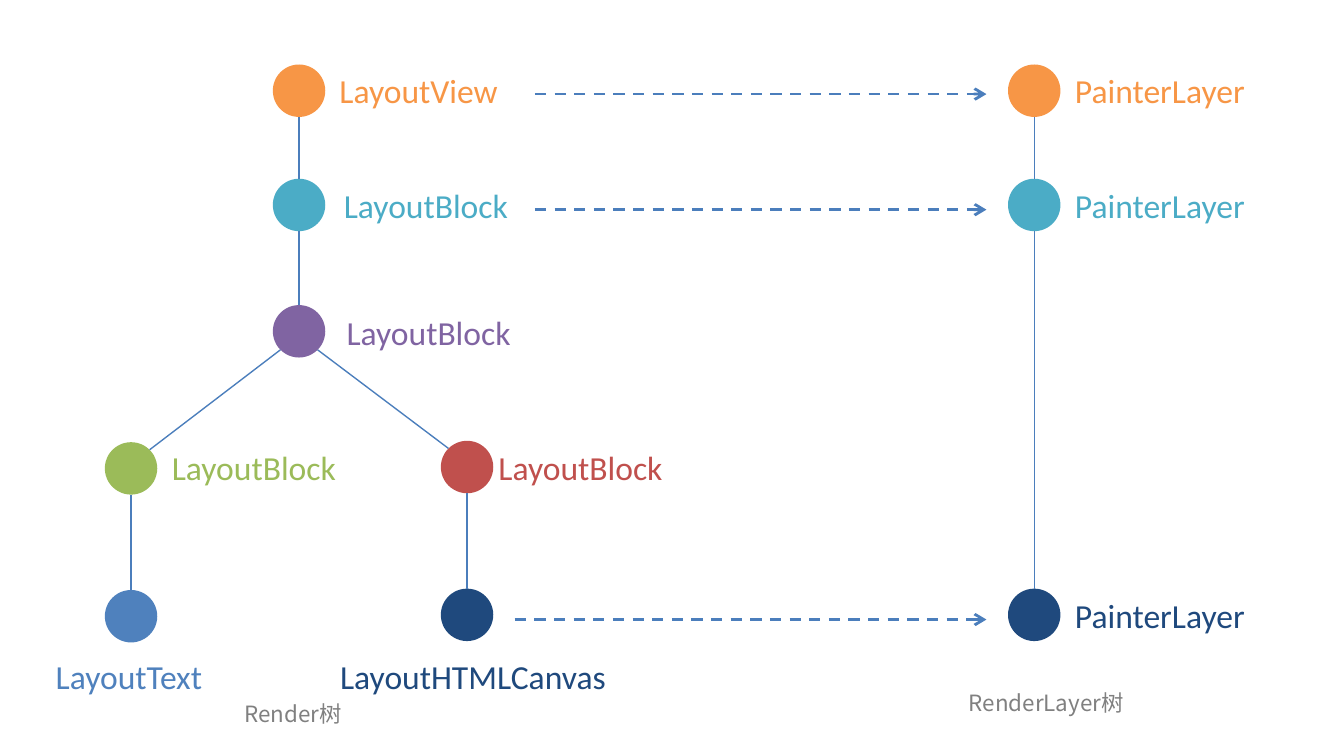
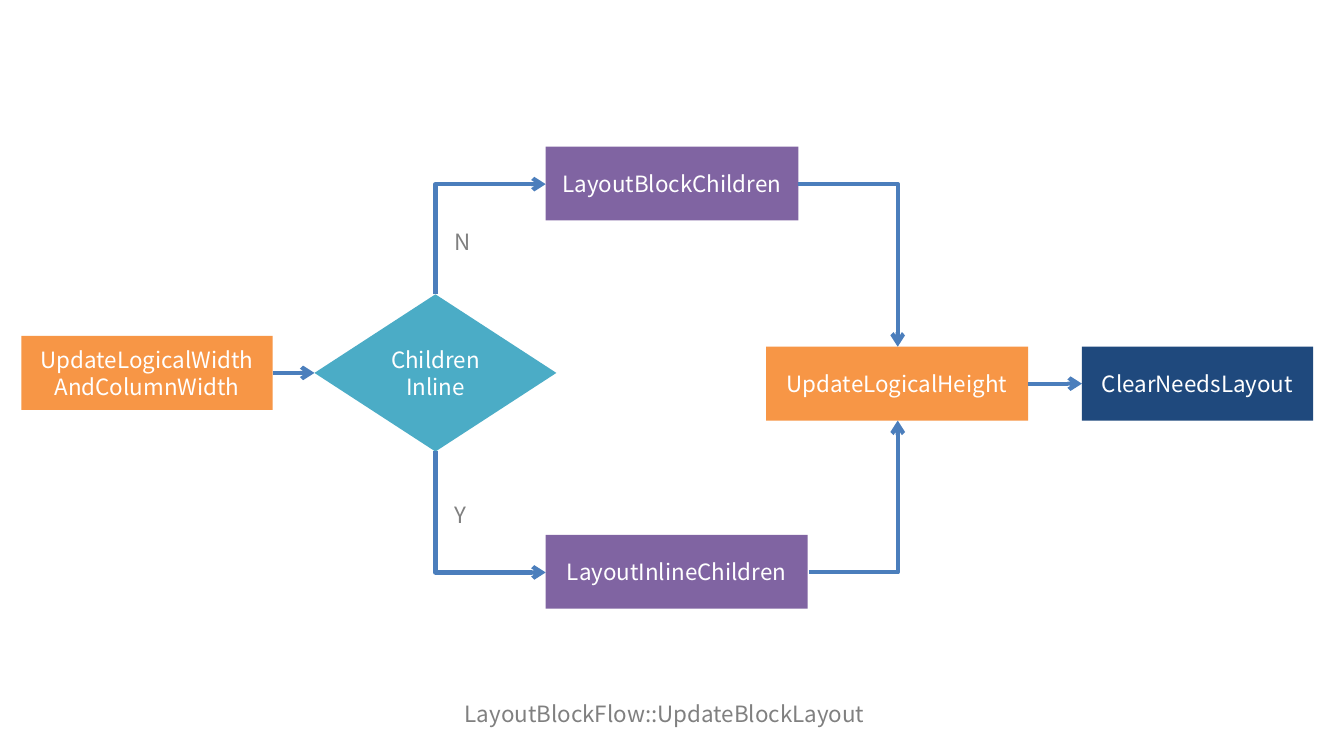
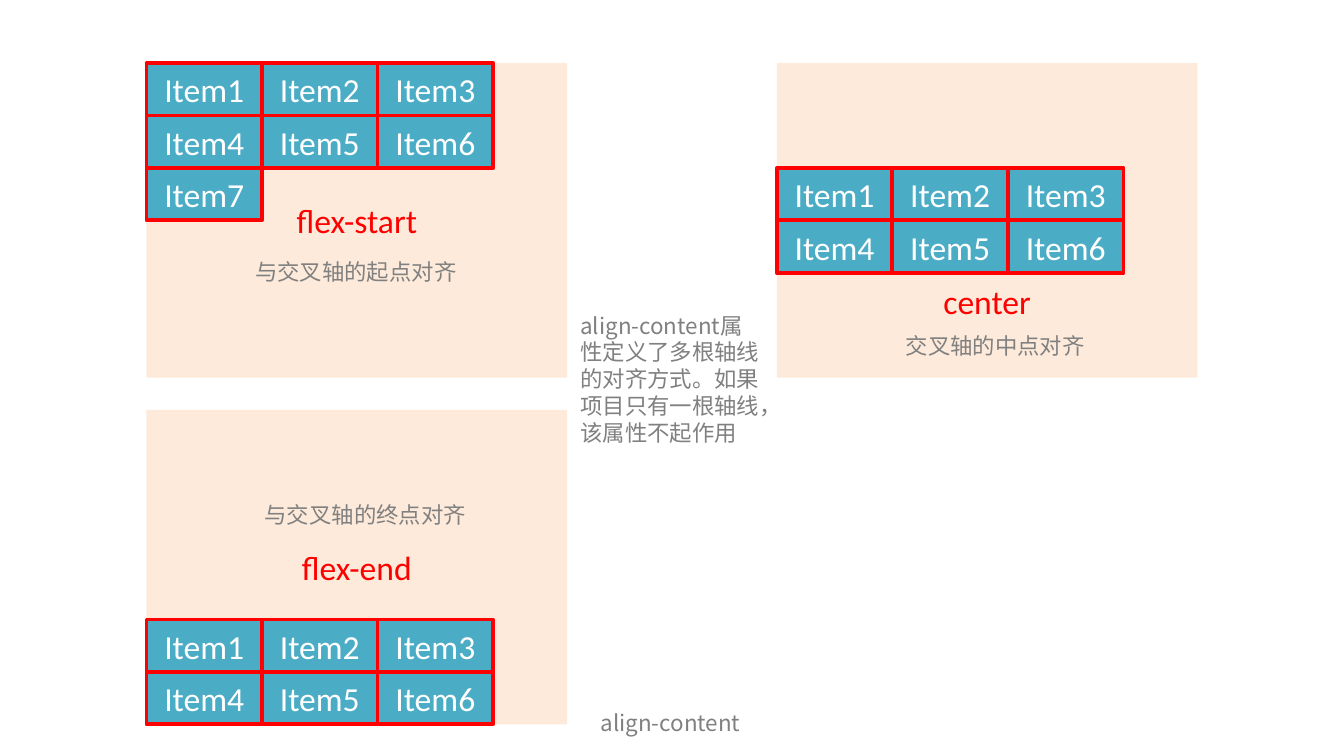
"""Build three slides on browser layout: render trees, block layout flow and align-content."""
from lxml.etree import SubElement
from pptx import Presentation
from pptx.dml.color import RGBColor
from pptx.enum.dml import MSO_LINE
from pptx.enum.shapes import MSO_CONNECTOR as LinkType, MSO_SHAPE as Preset
from pptx.enum.text import MSO_ANCHOR as Anchor, MSO_AUTO_SIZE as AutoSize, PP_ALIGN as Align
from pptx.oxml.ns import qn
from pptx.util import Inches, Pt

ORANGE = RGBColor(0xF7, 0x96, 0x46)
TEAL = RGBColor(0x4B, 0xAC, 0xC6)
PURPLE = RGBColor(0x80, 0x64, 0xA2)
GREEN = RGBColor(0x9B, 0xBB, 0x59)
BRICK = RGBColor(0xC0, 0x50, 0x4D)
BLUE = RGBColor(0x4F, 0x81, 0xBD)
NAVY = RGBColor(0x1F, 0x49, 0x7D)
LINK_BLUE = RGBColor(0x4B, 0x7E, 0xBC)
PEACH = RGBColor(0xFD, 0xEA, 0xDA)
RED = RGBColor(0xFF, 0x00, 0x00)
WHITE = RGBColor(0xFF, 0xFF, 0xFF)
GREY = RGBColor(0x80, 0x80, 0x80)

LABEL_FONT, NOTE_FONT = "Calibri", "Noto Sans CJK SC"
LABEL_SIZE, NOTE_SIZE = 18, 12
NODE = 0.39
ITEM_WIDTH, ITEM_HEIGHT = 0.86, 0.39
ITEM_COLUMNS = 3
STEP_HEIGHT = 0.55
PANEL_WIDTH, PANEL_HEIGHT = 3.13, 2.34


def write(frame, text, font=LABEL_FONT, size=LABEL_SIZE, color=WHITE, align=Align.CENTER):
    """Write one formatted paragraph in a text frame."""
    para = frame.paragraphs[0]
    para.alignment = align
    span = para.add_run()
    span.text = text
    span.font.name = font
    span.font.size = Pt(size)
    span.font.color.rgb = color
    SubElement(span.font._element, qn("a:ea"), typeface=font)


def add_text(page, text, left, top, width, height=0.3, wrap=False, **style):
    """Add a text box that grows with its text."""
    box = page.shapes.add_textbox(Inches(left), Inches(top), Inches(width), Inches(height))
    box.text_frame.word_wrap = wrap
    box.text_frame.auto_size = AutoSize.SHAPE_TO_FIT_TEXT
    write(box.text_frame, text, **style)


def add_note(page, text, left, top, width, height=0.3, wrap=True):
    """Add a small grey note."""
    add_text(page, text, left, top, width, height, wrap,
             font=NOTE_FONT, size=NOTE_SIZE, color=GREY, align=Align.LEFT)


def add_figure(page, preset, left, top, width, height, fill, text="", border=None, **style):
    """Add a filled preset shape with centred text and an optional border."""
    figure = page.shapes.add_shape(preset, Inches(left), Inches(top), Inches(width), Inches(height))
    figure.shadow.inherit = False
    figure.fill.solid()
    figure.fill.fore_color.rgb = fill
    if border is None:
        figure.line.fill.background()
    else:
        figure.line.color.rgb = border
        figure.line.width = Pt(2)
    figure.text_frame.word_wrap = True
    figure.text_frame.vertical_anchor = Anchor.MIDDLE
    if text:
        write(figure.text_frame, text, **style)
    return figure


def add_link(page, start, end, weight, kind=LinkType.STRAIGHT, arrow=False, dashed=False):
    """Add a connector from start to end."""
    link = page.shapes.add_connector(kind, *(Inches(length) for length in (*start, *end)))
    link.line.color.rgb = LINK_BLUE
    link.line.width = Pt(weight)
    if dashed:
        link.line.dash_style = MSO_LINE.DASH
    if arrow:
        SubElement(link.line._get_or_add_ln(), qn("a:tailEnd"), type="arrow")
    SubElement(link.element.spPr, qn("a:effectLst"))
    return link


def add_elbow(page, start, end, vertical_first=False):
    """Add an arrow with one right-angled bend."""
    if vertical_first:
        (x1, y1), (x2, y2) = start, end
        middle_x, middle_y = (x1 + x2) / 2, (y1 + y2) / 2
        half_x, half_y = (x2 - x1) / 2, (y2 - y1) / 2
        start = (middle_x + half_y, middle_y - half_x)
        end = (middle_x - half_y, middle_y + half_x)
    link = add_link(page, start, end, 2.25, LinkType.ELBOW, arrow=True)
    properties = link.element.spPr
    properties.find(qn("a:prstGeom")).set("prst", "bentConnector2")
    if vertical_first:
        properties.find(qn("a:xfrm")).set("rot", str(270 * 60000))


def join_steps(page, source, target):
    """Join the right side of one step to the left side of the next."""
    link = add_link(page, (0, 0), (1, 1), 2.25, arrow=True)
    link.begin_connect(source, 3)
    link.end_connect(target, 1)


def add_branch(page, parent, child):
    """Draw the tree line between two nodes, given by their top left corners."""
    radius = NODE / 2
    (x1, y1), (x2, y2) = ((left + radius, top + radius) for left, top in (parent, child))
    if x1 == x2:
        shift_x, shift_y = 0, radius
    else:
        shift_y = radius * 0.71
        shift_x = shift_y if x2 > x1 else -shift_y
    add_link(page, (x1 + shift_x, y1 + shift_y), (x2 - shift_x, y2 - shift_y), 0.75)


def add_step(page, text, left, top, width, fill, preset=Preset.RECTANGLE, height=STEP_HEIGHT):
    """Add one step of the flow chart."""
    return add_figure(page, preset, left, top, width, height, fill, text,
                      font=NOTE_FONT, size=NOTE_SIZE)


def add_items(page, left, top, count):
    """Add a wrapped grid of numbered items."""
    for index in range(count):
        row, column = divmod(index, ITEM_COLUMNS)
        add_figure(page, Preset.RECTANGLE, left + column * ITEM_WIDTH, top + row * ITEM_HEIGHT,
                   ITEM_WIDTH, ITEM_HEIGHT, TEAL, f"Item{index + 1}", border=RED)


def add_panel(page, text, left, top):
    """Add a flex container named in red."""
    return add_figure(page, Preset.RECTANGLE, left, top, PANEL_WIDTH, PANEL_HEIGHT, PEACH,
                      text, color=RED)


def build_trees(page):
    """Draw the render tree next to the layer tree."""
    for left, y in ((3.98, 0.7), (3.98, 1.56), (3.83, 4.61)):
        add_link(page, (left, y), (7.34, y), 1.5, arrow=True, dashed=True)
    view, block, inner = (2.03, 0.48), (2.03, 1.33), (2.03, 2.27)
    left_block, right_block = (0.78, 3.29), (3.28, 3.28)
    text_node, canvas = (0.78, 4.39), (3.28, 4.38)
    top_layer, middle_layer, canvas_layer = (7.5, 0.48), (7.5, 1.33), (7.5, 4.38)
    nodes = (
        (view, ORANGE, "LayoutView", 2.42, 0.47, 1.39),
        (block, TEAL, "LayoutBlock", 2.45, 1.33, 1.44),
        (inner, PURPLE, "LayoutBlock", 2.47, 2.27, 1.44),
        (left_block, GREEN, "LayoutBlock", 1.17, 3.28, 1.44),
        (right_block, BRICK, "LayoutBlock", 3.6, 3.28, 1.44),
        (text_node, BLUE, "LayoutText", 0.31, 4.83, 1.3),
        (canvas, NAVY, "LayoutHTMLCanvas", 2.42, 4.83, 2.2),
        (top_layer, ORANGE, "PainterLayer", 7.89, 0.47, 1.48),
        (middle_layer, TEAL, "PainterLayer", 7.89, 1.33, 1.48),
        (canvas_layer, NAVY, "PainterLayer", 7.89, 4.38, 1.48),
    )
    for corner, color, label, left, top, width in nodes:
        add_figure(page, Preset.OVAL, *corner, NODE, NODE, color)
        add_text(page, label, left, top, width, 0.4, color=color)
    branches = (
        (view, block), (block, inner), (inner, left_block), (inner, right_block),
        (left_block, text_node), (right_block, canvas),
        (top_layer, middle_layer), (middle_layer, canvas_layer),
    )
    for parent, child in branches:
        add_branch(page, parent, child)
    add_note(page, "Render树", 1.72, 5.16, 0.94)
    add_note(page, "RenderLayer树", 7.11, 5.08, 1.41)


def build_flow(page):
    """Draw the block layout flow chart."""
    update_width = add_step(page, "UpdateLogicalWidthAndColumnWidth", 0.16, 2.5, 1.87, ORANGE)
    question = add_step(page, "ChildrenInline", 2.34, 2.19, 1.8, TEAL, Preset.DIAMOND, 1.17)
    add_step(page, "LayoutBlockChildren", 4.06, 1.09, 1.88, PURPLE)
    add_step(page, "LayoutInlineChildren", 4.06, 3.98, 1.95, PURPLE)
    update_height = add_step(page, "UpdateLogicalHeight", 5.7, 2.58, 1.95, ORANGE)
    clear = add_step(page, "ClearNeedsLayout", 8.05, 2.58, 1.72, NAVY)
    join_steps(page, update_width, question)
    join_steps(page, update_height, clear)
    add_elbow(page, (3.24, 3.36), (4.06, 4.26), vertical_first=True)
    add_elbow(page, (3.24, 2.19), (4.06, 1.37), vertical_first=True)
    add_elbow(page, (5.94, 1.37), (6.68, 2.58))
    add_elbow(page, (6.02, 4.26), (6.68, 3.13))
    add_note(page, "LayoutBlockFlow::UpdateBlockLayout", 3.36, 5.16, 3.28)
    add_note(page, "N", 3.28, 1.65, 0.31)
    add_note(page, "Y", 3.28, 3.68, 0.31)


def build_align_content(page):
    """Compare three values of align-content."""
    left, right, top, bottom = 1.09, 5.78, 0.47, 3.05
    add_panel(page, "flex-start", left, top)
    add_panel(page, "flex-end", left, bottom)
    center = add_panel(page, "center", right, top)
    center.text_frame.margin_top = Inches(1.25)
    add_items(page, left, top, 7)
    add_items(page, left, bottom + PANEL_HEIGHT - 2 * ITEM_HEIGHT, 6)
    add_items(page, right, top + 2 * ITEM_HEIGHT, 6)
    add_note(page, "与交叉轴的起点对齐", 1.8, 1.87, 1.72, wrap=False)
    add_note(page, "与交叉轴的终点对齐", 1.87, 3.68, 1.72, wrap=False)
    add_note(page, "交叉轴的中点对齐", 6.64, 2.42, 1.55, wrap=False)
    add_note(page, "align-content属性定义了多根轴线的对齐方式。如果项目只有一根轴线，该属性不起作用",
             4.22, 2.27, 1.56, 1.11)
    add_note(page, "align-content", 4.37, 5.23, 1.41)


def main():
    """Build the widescreen deck and save it."""
    deck = Presentation()
    deck.slide_width = Inches(10)
    deck.slide_height = Inches(10 * 9 / 16)
    for build in (build_trees, build_flow, build_align_content):
        build(deck.slides.add_slide(deck.slide_layouts[6]))
    deck.save("out.pptx")


if __name__ == "__main__":
    main()
